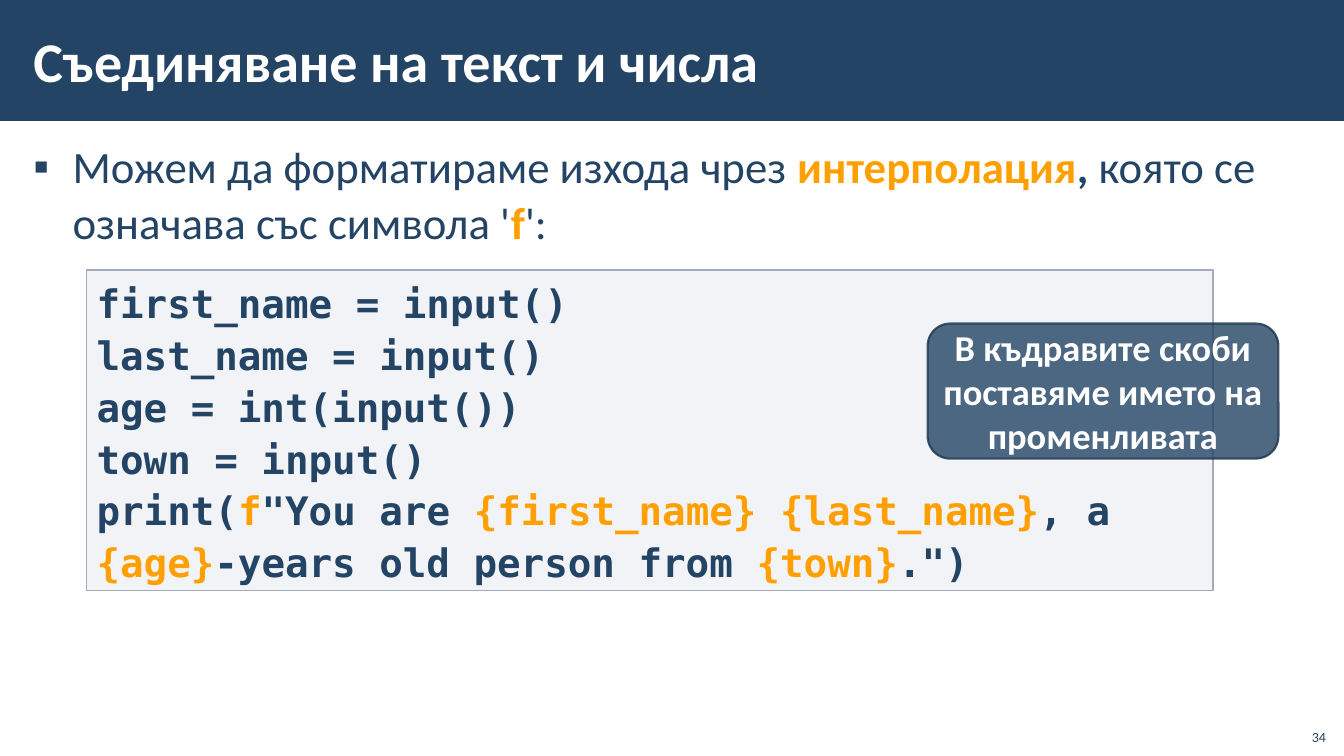
import pptx
import pptx.util
import pptx.dml.color
import pptx.enum.shapes
import pptx.enum.text
import pptx.oxml.ns
import lxml.etree

Inches = pptx.util.Inches
Pt = pptx.util.Pt
RGBColor = pptx.dml.color.RGBColor
SHAPE = pptx.enum.shapes.MSO_SHAPE
ALIGN = pptx.enum.text.PP_ALIGN
ANCHOR = pptx.enum.text.MSO_ANCHOR
qn = pptx.oxml.ns.qn

NAVY = RGBColor(0x23, 0x44, 0x65)
DARK_NAVY = RGBColor(0x1A, 0x33, 0x4C)
ORANGE = RGBColor(0xFF, 0xA0, 0x00)
WHITE = RGBColor(0xFF, 0xFF, 0xFF)
CODE_FILL = RGBColor(0xC2, 0xC7, 0xD2)
CODE_LINE = RGBColor(0xA3, 0xAB, 0xBC)

TEXT_FONT = "Calibri"
CODE_FONT = "DejaVu Sans Mono"

CODE = [
    [("first_name = input()", NAVY)],
    [("last_name = input()", NAVY)],
    [("age = int(input())", NAVY)],
    [("town = input()", NAVY)],
    [("print(", NAVY), ("f", ORANGE), ('"You are ', NAVY),
     ("{first_name} {last_name}", ORANGE), (", a ", NAVY), ("{age}", ORANGE),
     ("-years old person from ", NAVY), ("{town}", ORANGE), ('.")', NAVY)],
]


def place(sp, left, top, width, height):
    sp.left, sp.top = Inches(left), Inches(top)
    sp.width, sp.height = Inches(width), Inches(height)


def set_frame(tf, anchor, side=0.1, edge=0.05):
    tf.word_wrap = True
    tf.auto_size = pptx.enum.text.MSO_AUTO_SIZE.NONE
    tf.vertical_anchor = anchor
    tf.margin_left = tf.margin_right = Inches(side)
    tf.margin_top = tf.margin_bottom = Inches(edge)


def add_run(p, text, size, color, bold=False, font=TEXT_FONT):
    r = p.add_run()
    r.text = text
    r.font.name = font
    r.font.size = Pt(size)
    r.font.bold = bold
    r.font.color.rgb = color


def set_alpha(fill_parent, percent):
    color = fill_parent.find(qn("a:solidFill"))[0]
    lxml.etree.SubElement(color, qn("a:alpha")).set("val", str(percent * 1000))


def add_box(s, kind, box, fill, alpha=100, line=None, line_width=1, line_alpha=100):
    sp = s.shapes.add_shape(kind, *map(Inches, box))
    sp.shadow.inherit = False
    sp.fill.solid()
    sp.fill.fore_color.rgb = fill
    set_alpha(sp.element.spPr, alpha)
    if line is None:
        sp.line.fill.background()
    else:
        sp.line.color.rgb = line
        sp.line.width = Pt(line_width)
        set_alpha(sp.element.spPr.find(qn("a:ln")), line_alpha)
    return sp


def set_title(s, text):
    title = s.shapes.title
    bar = add_box(s, SHAPE.RECTANGLE, (0, 0, 13.34, 1.2), NAVY)
    title.element.addprevious(bar.element)
    place(title, 0.21, 0.11, 10.63, 0.97)
    set_frame(title.text_frame, ANCHOR.MIDDLE, 0.12, 0.04)
    p = title.text_frame.paragraphs[0]
    p.alignment = ALIGN.LEFT
    add_run(p, text, 40, WHITE, True)


def set_bullet(body, runs):
    place(body, 0.21, 1.31, 12.92, 6.05)
    set_frame(body.text_frame, ANCHOR.TOP, 0.12, 0.04)
    p = body.text_frame.paragraphs[0]
    p.line_spacing = 1.05
    p.space_before = p.space_after = Pt(6)
    pPr = p._p.get_or_add_pPr()
    pPr.set("marL", str(Inches(0.39)))
    pPr.set("indent", str(Inches(-0.39)))
    lxml.etree.SubElement(pPr, qn("a:buFont")).set("typeface", "Arial")
    lxml.etree.SubElement(pPr, qn("a:buChar")).set("char", "▪")
    for text, color, bold in runs:
        add_run(p, text, 32, color, bold)


def add_code(s, lines):
    sp = add_box(s, SHAPE.RECTANGLE, (0.86, 2.68, 11.17, 3.18), CODE_FILL, 20, CODE_LINE)
    tf = sp.text_frame
    set_frame(tf, ANCHOR.TOP)
    for i, line in enumerate(lines):
        p = tf.add_paragraph() if i else tf.paragraphs[0]
        p.alignment = ALIGN.LEFT
        p.line_spacing = 1.1
        for text, color in line:
            add_run(p, text, 28, color, True, CODE_FONT)


def add_callout(s, text):
    sp = add_box(s, SHAPE.ROUNDED_RECTANGLE, (9.2, 3.21, 3.48, 1.34),
                 NAVY, 80, DARK_NAVY, 1.5, 80)
    set_frame(sp.text_frame, ANCHOR.MIDDLE, 0.03, 0)
    p = sp.text_frame.paragraphs[0]
    p.alignment = ALIGN.CENTER
    add_run(p, text, 26, WHITE, True)


def add_page_number(s, text):
    sp = s.shapes.add_textbox(*map(Inches, (12.85, 7.12, 0.4, 0.32)))
    set_frame(sp.text_frame, ANCHOR.BOTTOM)
    p = sp.text_frame.paragraphs[0]
    p.alignment = ALIGN.RIGHT
    add_run(p, text, 10, NAVY)


def main():
    prs = pptx.Presentation()
    prs.slide_width, prs.slide_height = Inches(13.33), Inches(7.5)
    s = prs.slides.add_slide(prs.slide_layouts[1])
    set_title(s, "Съединяване на текст и числа")
    set_bullet(s.placeholders[1], [
        ("Можем да форматираме изхода чрез ", NAVY, False),
        ("интерполация", ORANGE, True),
        (", ", NAVY, True),
        ("която се означава със символа '", NAVY, False),
        ("f", ORANGE, True),
        ("':", NAVY, False),
    ])
    add_code(s, CODE)
    add_callout(s, "В къдравите скоби поставяме името на променливата")
    add_page_number(s, "34")
    prs.save("out.pptx")


if __name__ == "__main__":
    main()
